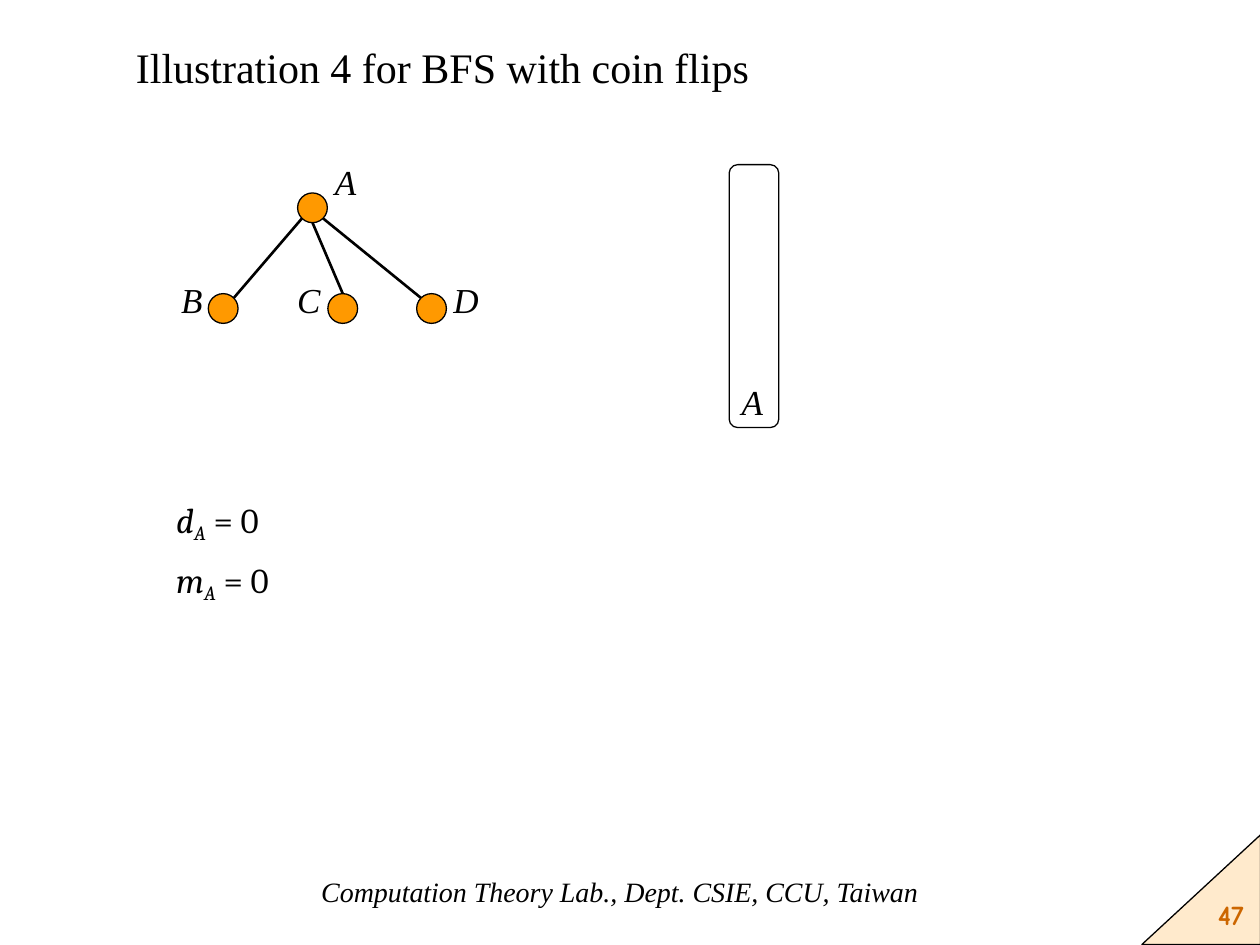
from math import sqrt

from pptx import Presentation
from pptx import util as u
from pptx.dml.color import RGBColor
from pptx.enum import shapes, text
from pptx.oxml.ns import qn
from lxml import etree

BLACK = RGBColor(0, 0, 0)
ORANGE = RGBColor(0xFF, 0x99, 0x00)
RUST = RGBColor(0xCC, 0x66, 0x00)
SERIF = "Times New Roman"
MATH = "Cambria"
COMIC = "Comic Neue"
RADIUS = 0.3
DIAG = RADIUS / sqrt(2)
ROOT = (6.3, 4.19)
ROW = 6.22


def add_shape(slide, kind, left, top, width, height, fill=None):
    shape = slide.shapes.add_shape(
        kind, u.Cm(left), u.Cm(top), u.Cm(width), u.Cm(height))
    shape.shadow.inherit = False
    if fill is None:
        shape.fill.background()
    else:
        shape.fill.solid()
        shape.fill.fore_color.rgb = fill
    shape.line.color.rgb = BLACK
    shape.line.width = u.Pt(0.75)
    return shape


def add_node(slide, x, y):
    add_shape(slide, shapes.MSO_SHAPE.OVAL, x - RADIUS, y - RADIUS,
              2 * RADIUS, 2 * RADIUS, ORANGE)


def add_edge(slide, x1, y1, x2, y2):
    edge = slide.shapes.add_connector(
        shapes.MSO_CONNECTOR.STRAIGHT,
        u.Cm(x1), u.Cm(y1), u.Cm(x2), u.Cm(y2))
    edge.line.color.rgb = BLACK
    edge.line.width = u.Pt(1.5)
    etree.SubElement(edge._element.spPr, qn("a:effectLst"))


def add_text(slide, words, left, top, width, height, size=20, face=SERIF,
             color=BLACK, italic=False, bold=False,
             align=text.PP_ALIGN.LEFT):
    box = slide.shapes.add_textbox(
        u.Cm(left), u.Cm(top), u.Cm(width), u.Cm(height))
    frame = box.text_frame
    frame.word_wrap = True
    frame.text = words
    para = frame.paragraphs[0]
    para.alignment = align
    style(para.runs[0], size, face, color, italic, bold)
    return para


def style(run, size, face, color, italic, bold=False):
    font = run.font
    font.size = u.Pt(size)
    font.name = face
    font.color.rgb = color
    font.italic = italic
    font.bold = bold


def add_label(slide, name, left, top, width=1.19):
    add_text(slide, name, left, top, width, 1.12, italic=True)


def add_value(slide, name, top):
    para = add_text(slide, name, 3.3, top, 3.61, 1.19, face=MATH, italic=True)
    for words, italic in (("A", True), (" = 0", False)):
        run = para.add_run()
        run.text = words
        style(run, 20, MATH, BLACK, italic)
    para.runs[1]._r.get_or_add_rPr().set("baseline", "-20000")


def add_corner(slide):
    corner = add_shape(slide, shapes.MSO_SHAPE.RIGHT_TRIANGLE,
                       23.11, 16.74, 2.21, 2.39, ORANGE)
    corner.rotation = 270
    tint = corner._element.spPr.find(qn("a:solidFill"))[0]
    etree.SubElement(tint, qn("a:alpha")).set("val", "20000")


def add_tree(slide):
    x, y = ROOT
    add_node(slide, x, y)
    leaves = (("B", 4.5, -1, 3.4), ("C", 6.91, 0, 5.74), ("D", 8.7, 1, 8.89))
    for name, leaf, side, left in leaves:
        drop = DIAG if side else RADIUS
        add_edge(slide, x + side * DIAG, y + drop,
                 leaf - side * DIAG, ROW - drop)
        add_node(slide, leaf, ROW)
        add_label(slide, name, left, 5.49)
    add_label(slide, "A", 6.5, 3.12)


def add_queue(slide):
    queue = add_shape(slide, shapes.MSO_SHAPE.ROUNDED_RECTANGLE,
                      14.7, 3.32, 1, 5.3)
    queue.adjustments[0] = 0.17
    add_label(slide, "A", 14.7, 7.54, 1)


def main():
    deck = Presentation()
    deck.slide_width, deck.slide_height = u.Cm(25.4), u.Cm(19.05)
    slide = deck.slides.add_slide(deck.slide_layouts[6])
    add_corner(slide)
    add_tree(slide)
    add_queue(slide)
    add_text(slide, "Illustration 4 for BFS with coin flips",
             2.49, 0.71, 16, 1.27, 24)
    add_value(slide, "m", 11.13)
    add_value(slide, "d", 9.93)
    add_text(slide, "Computation Theory Lab., Dept. CSIE, CCU, Taiwan",
             5.89, 17.5, 13.21, 1.32, 16, italic=True,
             align=text.PP_ALIGN.CENTER)
    add_text(slide, "47", 23.52, 17.96, 1.8, 1.32, 16, COMIC, RUST,
             bold=True, align=text.PP_ALIGN.RIGHT)
    deck.save("out.pptx")


if __name__ == "__main__":
    main()
